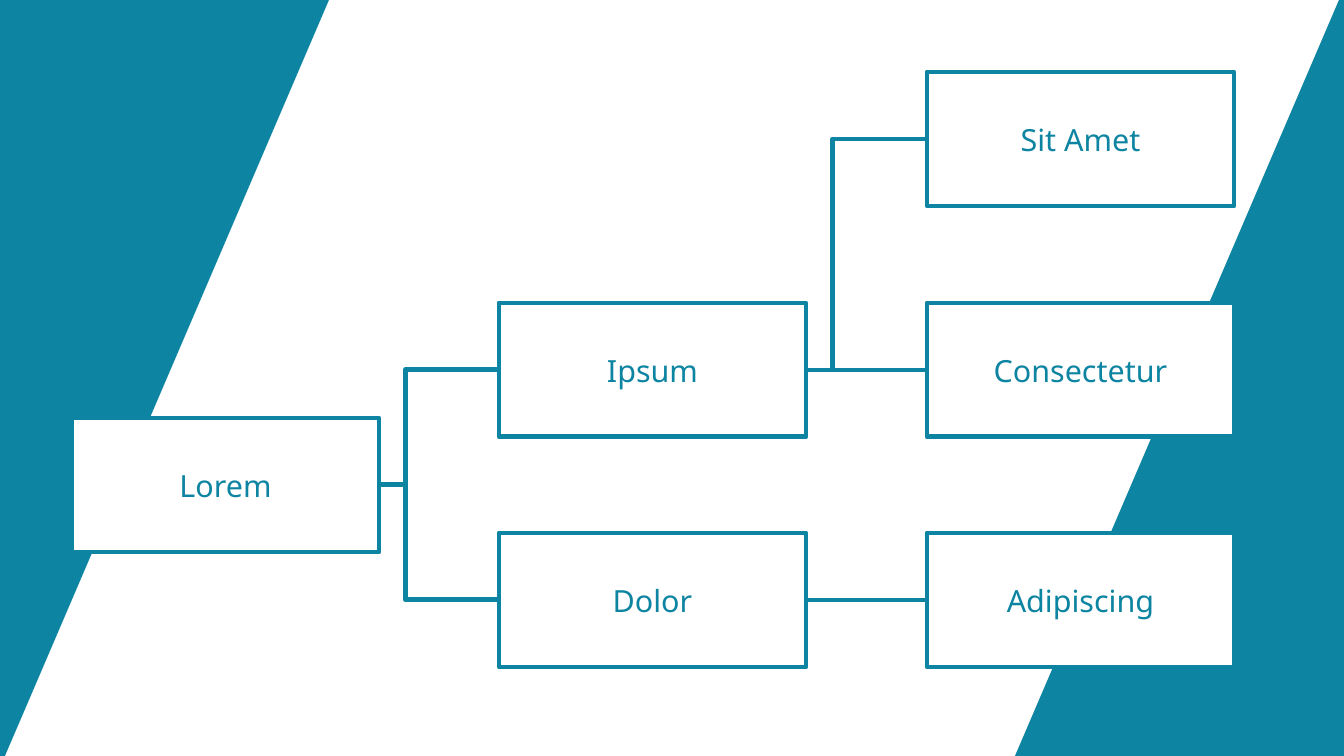
from pptx import Presentation
from pptx.dml.color import RGBColor
from pptx.enum.shapes import MSO_CONNECTOR, MSO_SHAPE
from pptx.enum.text import MSO_ANCHOR, PP_ALIGN
from pptx.oxml.ns import qn
from pptx.util import Pt
from lxml.etree import SubElement

PX = 7495
WIDE, HIGH = 1344, 756
COLORS = {"teal": "0D84A1", "white": "FFFFFF"}
RGB = {name: RGBColor.from_string(code) for name, code in COLORS.items()}


def outline(item):
    item.line.color.rgb = RGB["teal"]
    item.line.width = Pt(2.83)
    SubElement(item._element.spPr.find(qn("a:ln")), qn("a:round"))


deck = Presentation()
deck.slide_width, deck.slide_height = WIDE * PX, HIGH * PX
slide = deck.slides.add_slide(deck.slide_layouts[6])
shapes = slide.shapes

left = [(0, 0), (329, 0), (5, HIGH), (0, HIGH)]
right = [(WIDE - x, HIGH - y) for x, y in left]
for points in (right, left):
    pen = shapes.build_freeform(*points[0], scale=PX)
    pen.add_line_segments(points[1:], close=True)
    panel = pen.convert_to_shape()
    panel.shadow.inherit = False
    panel.fill.solid()
    panel.fill.fore_color.rgb = RGB["teal"]
    panel.line.fill.background()

cols = [72, 499, 927]
rows = [72, 303, 418, 533]
nodes = [
    ("Lorem", 0, 2),
    ("Ipsum", 1, 1),
    ("Dolor", 1, 3),
    ("Sit Amet", 2, 0),
    ("Consectetur", 2, 1),
    ("Adipiscing", 2, 3),
]
boxes = {}
for name, col, row in nodes:
    box = shapes.add_shape(
        MSO_SHAPE.RECTANGLE, cols[col] * PX, rows[row] * PX, 307 * PX, 134 * PX
    )
    box.shadow.inherit = False
    box.fill.solid()
    box.fill.fore_color.rgb = RGB["white"]
    outline(box)
    frame = box.text_frame
    frame.text = name
    frame.word_wrap = False
    frame.vertical_anchor = MSO_ANCHOR.MIDDLE
    frame.margin_left = frame.margin_right = 0
    frame.margin_top = frame.margin_bottom = 0
    para = frame.paragraphs[0]
    para.alignment = PP_ALIGN.CENTER
    font = para.runs[0].font
    font.name = "Noto Sans"
    font.size = Pt(18)
    font.color.rgb = RGB["teal"]
    boxes[name] = box

links = [
    ("Lorem", "Ipsum"),
    ("Lorem", "Dolor"),
    ("Dolor", "Adipiscing"),
    ("Ipsum", "Sit Amet"),
    ("Ipsum", "Consectetur"),
]
for start, end in links:
    link = shapes.add_connector(MSO_CONNECTOR.ELBOW, 0, 0, 0, 0)
    link.begin_connect(boxes[start], 3)
    link.end_connect(boxes[end], 1)
    outline(link)
    props = link._element.spPr
    SubElement(props, qn("a:effectLst"))
    guides = props.find(qn("a:prstGeom")).find(qn("a:avLst"))
    SubElement(guides, qn("a:gd"), name="adj1", fmla="val 22000")

deck.save("out.pptx")
